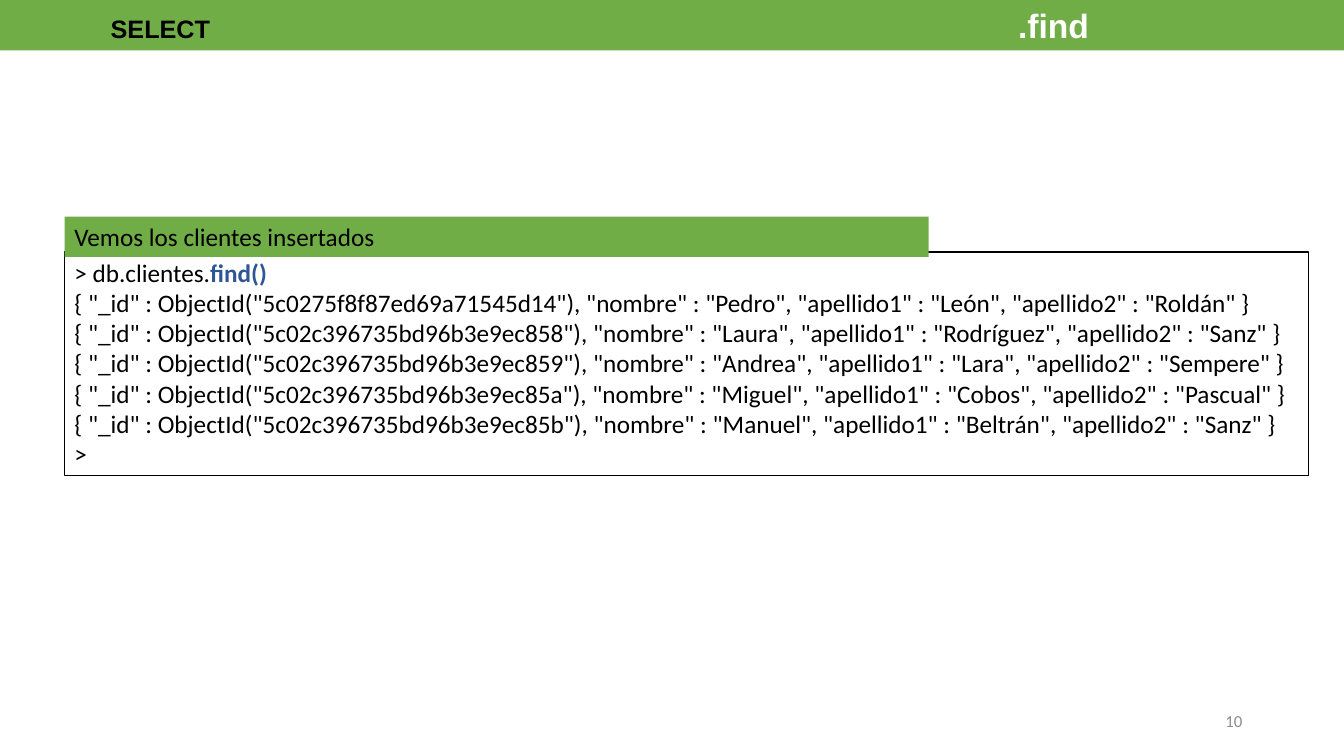
from dataclasses import dataclass

from lxml.etree import SubElement
from pptx import Presentation
from pptx.dml.color import RGBColor
from pptx.enum.shapes import MSO_SHAPE as Shape
from pptx.enum.text import MSO_ANCHOR as Anchor, PP_ALIGN as Align
from pptx.oxml.ns import qn
from pptx.util import Inches, Pt

GREEN = "70AD47"
BLACK = "000000"


@dataclass
class Box:
    left: float
    top: float
    width: float
    height: float
    fill: str = ""
    line: str = ""


@dataclass
class Client:
    key: str
    name: str
    first: str
    last: str

    def row(self) -> str:
        return (f'{{ "_id" : ObjectId("{self.key}"), "nombre" : "{self.name}", '
                f'"apellido1" : "{self.first}", "apellido2" : "{self.last}" }}')


CLIENTS = [
    Client("5c0275f8f87ed69a71545d14", "Pedro", "León", "Roldán"),
    Client("5c02c396735bd96b3e9ec858", "Laura", "Rodríguez", "Sanz"),
    Client("5c02c396735bd96b3e9ec859", "Andrea", "Lara", "Sempere"),
    Client("5c02c396735bd96b3e9ec85a", "Miguel", "Cobos", "Pascual"),
    Client("5c02c396735bd96b3e9ec85b", "Manuel", "Beltrán", "Sanz"),
]


def color(code: str) -> RGBColor:
    return RGBColor.from_string(code)


def write(para, text: str, size: float = 18, face: str = "Calibri",
          ink: str = BLACK, bold: bool = False) -> None:
    run = para.add_run()
    run.text = text
    font = run.font
    font.size, font.name, font.bold = Pt(size), face, bold
    font.color.rgb = color(ink)


def draw(slide, box: Box):
    shape = slide.shapes.add_shape(
        Shape.RECTANGLE, Inches(box.left), Inches(box.top),
        Inches(box.width), Inches(box.height))
    shape.shadow.inherit = False
    if box.fill:
        shape.fill.solid()
        shape.fill.fore_color.rgb = color(box.fill)
    else:
        shape.fill.background()
    if box.line:
        shape.line.color.rgb = color(box.line)
        shape.line.width = Pt(0.75)
    else:
        shape.line.fill.background()
    frame = shape.text_frame
    frame.word_wrap = True
    frame.vertical_anchor = Anchor.TOP
    frame.paragraphs[0].alignment = Align.LEFT
    return frame


def set_tabs(para, stops: list[float]) -> None:
    tabs = SubElement(para._p.get_or_add_pPr(), qn("a:tabLst"))
    for stop in stops:
        SubElement(tabs, qn("a:tab"), pos=str(Inches(stop)), algn="l")


def main() -> None:
    deck = Presentation()
    deck.slide_width, deck.slide_height = Inches(13.33), Inches(7.5)
    slide = deck.slides.add_slide(deck.slide_layouts[6])

    code = draw(slide, Box(0.64, 2.5, 12.34, 2.22, line=BLACK))
    para = code.paragraphs[0]
    write(para, "> db.clientes.")
    write(para, "find()", ink="2F5597", bold=True)
    for text in [client.row() for client in CLIENTS] + [">"]:
        para = code.add_paragraph()
        para.alignment = Align.LEFT
        write(para, text)

    label = draw(slide, Box(0.64, 2.15, 8.57, 0.4, fill=GREEN))
    write(label.paragraphs[0], "Vemos los clientes insertados")

    para = draw(slide, Box(0, 0, 13.33, 0.5, fill=GREEN)).paragraphs[0]
    set_tabs(para, [1, 10])
    write(para, "\tSELECT\t", face="Arial", bold=True)
    write(para, ".find", size=24, face="Arial", ink="FFFFFF", bold=True)

    number = slide.shapes.add_textbox(
        Inches(9.42), Inches(6.95), Inches(3), Inches(0.4)).text_frame
    number.word_wrap = True
    number.vertical_anchor = Anchor.MIDDLE
    number.paragraphs[0].alignment = Align.RIGHT
    write(number.paragraphs[0], "10", size=12, ink="8C8C8C")

    deck.save("out.pptx")


if __name__ == "__main__":
    main()
